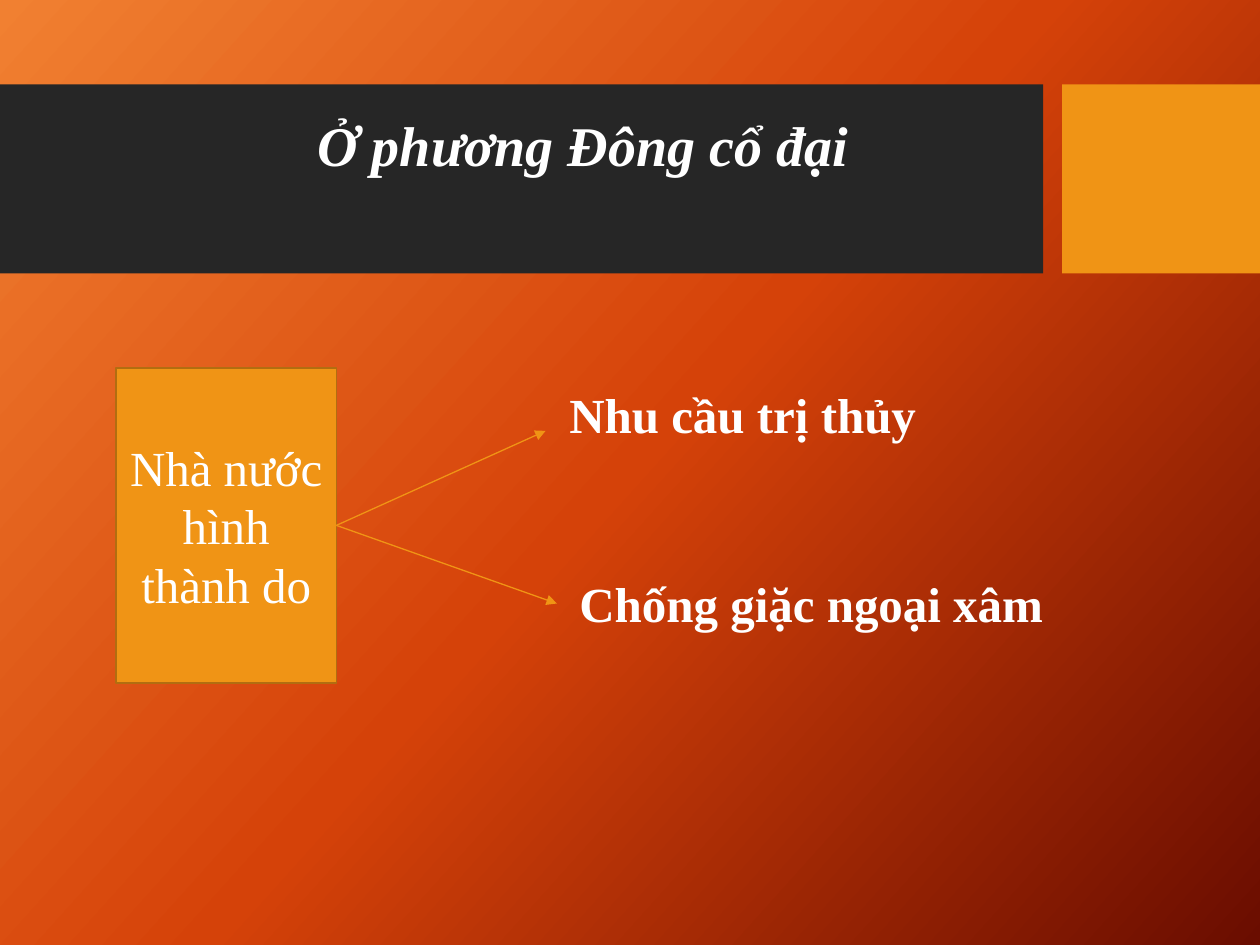
"""Build a slide on why states formed in the ancient East."""
import copy

import pptx
import pptx.util
import pptx.dml.color
import pptx.enum.shapes
import pptx.enum.text
import pptx.oxml
import pptx.oxml.ns
from pptx.util import Inches

FONT = "Times New Roman"
COLORS = {"bar": "262626", "accent": "F09415", "edge": "B26D10", "text": "FFFFFF"}
GRADIENT = [(0, "F18031"), (0.5, "D54209"), (1, "6A0D00")]
GRADIENT_ANGLE = 42
TITLE = ("Ở phương Đông cổ đại", (2.42, 0.83, 4.42, 0.64))
BARS = [("bar", (0, 0.67, 8.28, 1.5)), ("accent", (8.43, 0.67, 1.57, 1.5))]
STATE = ("Nhà nước hình thành do", (0.92, 2.92, 1.75, 2.5))
CAUSES = [
    ("Nhu cầu trị thủy", (4.42, 3, 3.83, 0.57), (4.33, 3.42)),
    ("Chống giặc ngoại xâm", (4.5, 4.5, 4.08, 0.57), (4.42, 4.79)),
]


def rgb(name):
    return pptx.dml.color.RGBColor.from_string(COLORS.get(name, name))


def paint_background(s):
    fill = s.background.fill
    fill.gradient()
    fill.gradient_angle = 360 - GRADIENT_ANGLE
    stops = s.element.find(".//" + pptx.oxml.ns.qn("a:gsLst"))
    while len(stops) < len(GRADIENT):
        stops.append(copy.deepcopy(stops[-1]))
    for stop, (position, color) in zip(fill.gradient_stops, GRADIENT):
        stop.position = position
        stop.color.rgb = rgb(color)


def add_box(s, box, color):
    sp = s.shapes.add_shape(pptx.enum.shapes.MSO_SHAPE.RECTANGLE, *map(Inches, box))
    sp.shadow.inherit = False
    sp.fill.solid()
    sp.fill.fore_color.rgb = rgb(color)
    sp.line.fill.background()
    return sp


def write(sp, text, size, align="LEFT", anchor="TOP", bold=False, italic=False):
    tf = sp.text_frame
    tf.word_wrap = True
    tf.auto_size = pptx.enum.text.MSO_AUTO_SIZE.NONE
    tf.vertical_anchor = getattr(pptx.enum.text.MSO_ANCHOR, anchor)
    p = tf.paragraphs[0]
    p.text = text
    p.alignment = getattr(pptx.enum.text.PP_ALIGN, align)
    p.font.name = FONT
    p.font.size = pptx.util.Pt(size)
    p.font.bold = bold
    p.font.italic = italic
    p.font.color.rgb = rgb("text")


def add_arrow(s, start, end):
    line = s.shapes.add_connector(
        pptx.enum.shapes.MSO_CONNECTOR.STRAIGHT, *map(Inches, start + end))
    line.line.color.rgb = rgb("accent")
    line.line.width = pptx.util.Pt(0.75)
    ns = pptx.oxml.ns.nsdecls("a")
    line.line._get_or_add_ln().append(
        pptx.oxml.parse_xml(f'<a:tailEnd {ns} type="triangle"/>'))
    line.element.spPr.append(pptx.oxml.parse_xml(f"<a:effectLst {ns}/>"))


def main():
    prs = pptx.Presentation()
    prs.slide_width, prs.slide_height = Inches(10), Inches(7.5)
    s = prs.slides.add_slide(prs.slide_layouts[5])
    paint_background(s)
    for color, box in BARS:
        add_box(s, box, color)

    title = s.shapes.title
    text, box = TITLE
    title.left, title.top, title.width, title.height = map(Inches, box)
    write(title, text, 32, bold=True, italic=True)
    s.shapes.element.append(title.element)

    text, box = STATE
    state = add_box(s, box, "accent")
    state.line.color.rgb = rgb("edge")
    state.line.width = pptx.util.Pt(1)
    write(state, text, 28, align="CENTER", anchor="MIDDLE")

    left, top, width, height = box
    start = (left + width, top + height / 2)
    for text, box, tip in CAUSES:
        write(s.shapes.add_textbox(*map(Inches, box)), text, 28, bold=True)
        add_arrow(s, start, tip)
    prs.save("out.pptx")


if __name__ == "__main__":
    main()
